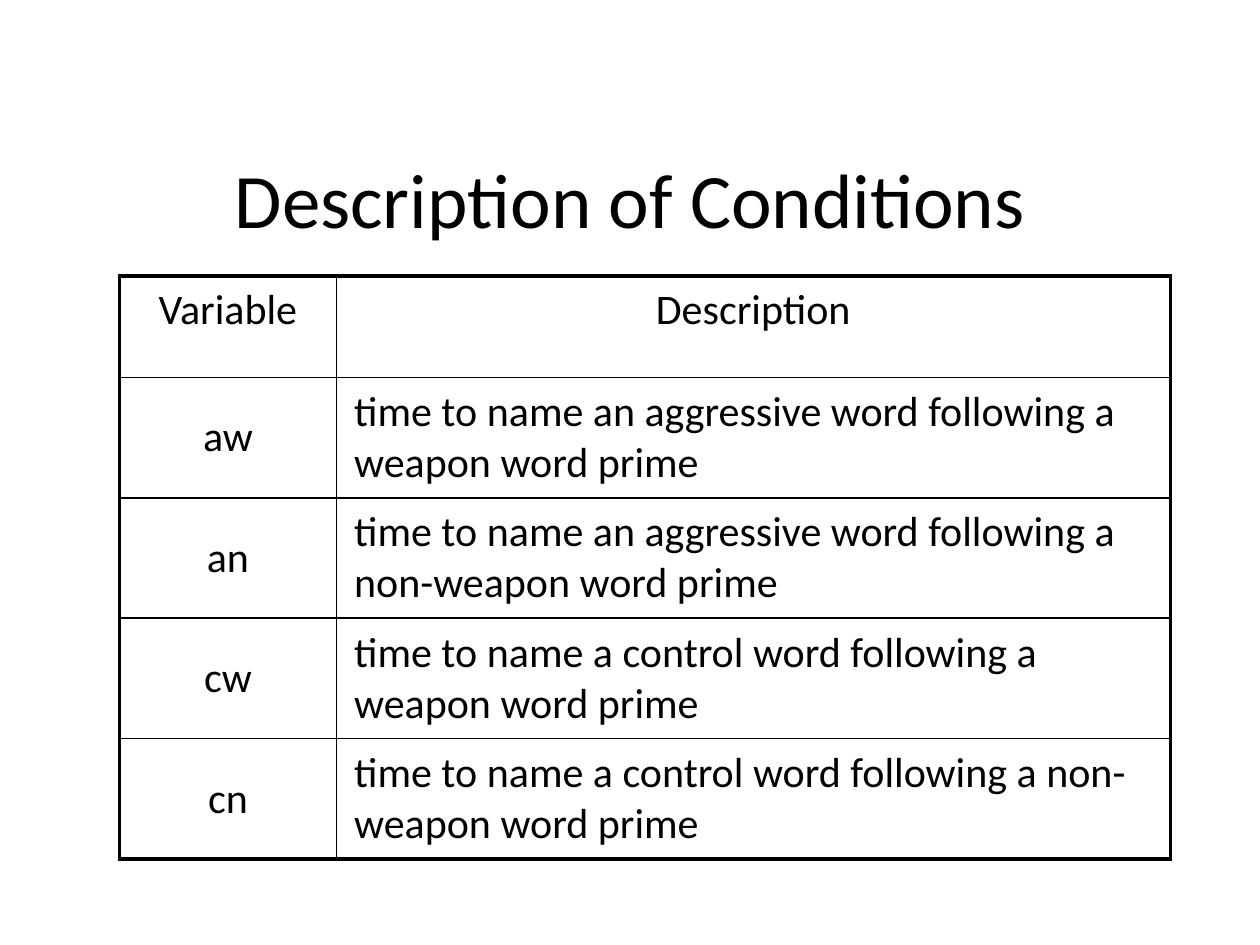
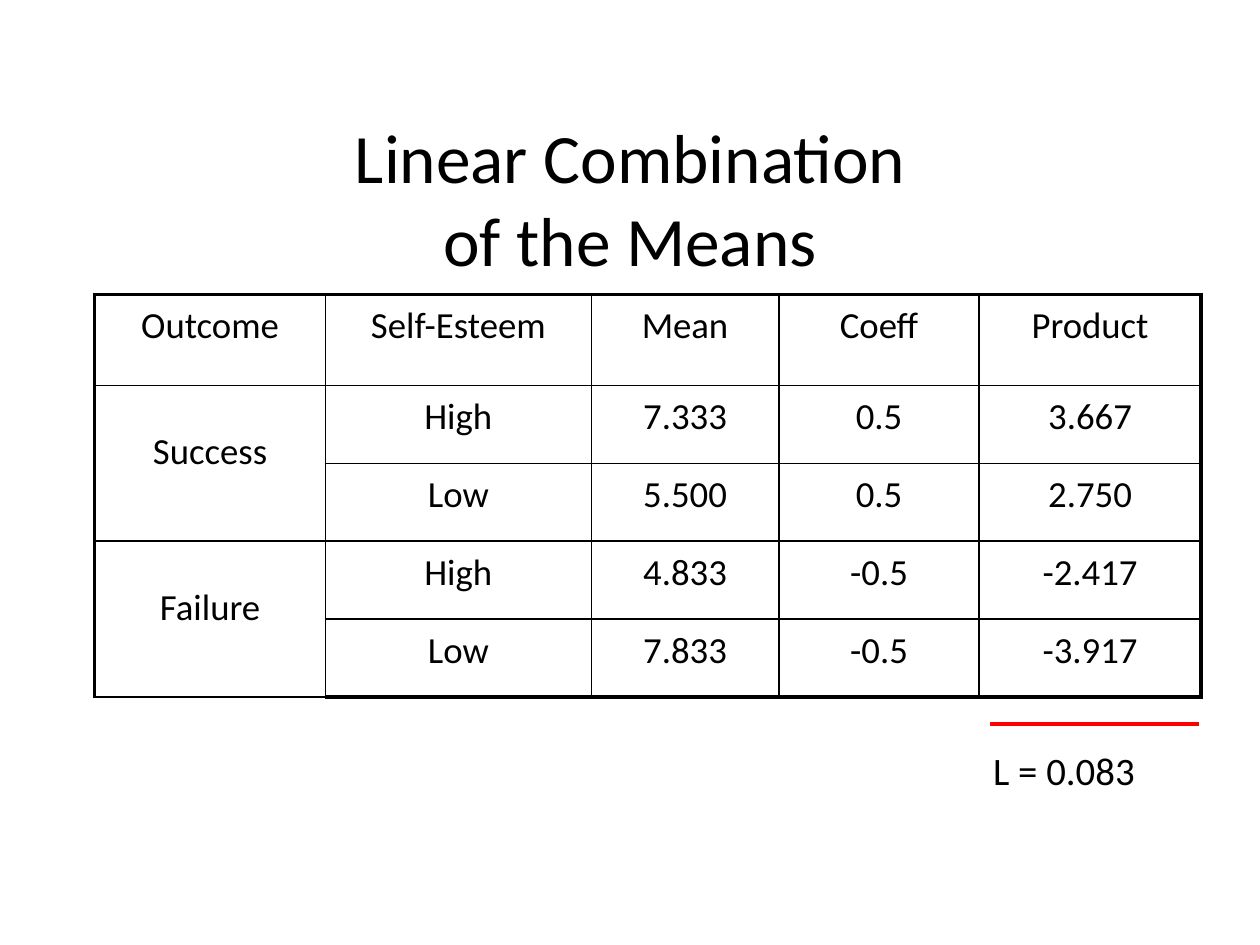
import lxml.etree
import pptx
import pptx.dml.color
import pptx.enum.shapes
import pptx.enum.text
import pptx.oxml.ns
import pptx.util

Cm = pptx.util.Cm
Pt = pptx.util.Pt
ALIGN = pptx.enum.text.PP_ALIGN
ANCHOR = pptx.enum.text.MSO_ANCHOR

FONT = "Calibri"
COLOURS = {"ink": "000000", "sum_line": "FF0000"}
TITLE_BOX = (1.91, 2.57, 21.59, 2.82)
INSET_SIDE, INSET_TOP = 0.36, 0.18
OUTER_BORDER, INNER_BORDER = 2.25, 1


def colour(name):
    return pptx.dml.color.RGBColor.from_string(COLOURS[name])


def write_text(frame, text, size, align=ALIGN.CENTER, anchor=ANCHOR.TOP):
    frame.word_wrap = True
    frame.vertical_anchor = anchor
    frame.text = text
    paragraph = frame.paragraphs[0]
    paragraph.alignment = align
    paragraph.font.name = FONT
    paragraph.font.size = Pt(size)
    paragraph.font.color.rgb = colour("ink")


def set_insets(holder, top=INSET_TOP):
    holder.margin_left = holder.margin_right = Cm(INSET_SIDE)
    holder.margin_top = Cm(top)
    holder.margin_bottom = Cm(INSET_TOP)


def add_titled_slide(presentation, title, size):
    slide = presentation.slides.add_slide(presentation.slide_layouts[5])
    shape = slide.shapes.title
    shape.left, shape.top, shape.width, shape.height = map(Cm, TITLE_BOX)
    shape.text_frame.auto_size = pptx.enum.text.MSO_AUTO_SIZE.NONE
    write_text(shape.text_frame, title, size, anchor=ANCHOR.MIDDLE)
    return slide


def draw_borders(cell, on_edge):
    """Heavy lines on the table's outside, thin ones within."""
    properties = cell._tc.get_or_add_tcPr()
    for side in ("L", "R", "T", "B"):
        width = OUTER_BORDER if on_edge[side] else INNER_BORDER
        line = lxml.etree.SubElement(
            properties, pptx.oxml.ns.qn("a:ln" + side), w=str(int(Pt(width))))
        fill = lxml.etree.SubElement(line, pptx.oxml.ns.qn("a:solidFill"))
        lxml.etree.SubElement(
            fill, pptx.oxml.ns.qn("a:srgbClr"), val=COLOURS["ink"])


def add_bordered_table(slide, left, top, widths, heights, rows, size):
    """Place a plain grid of centred text; None leaves a cell unwritten."""
    table = slide.shapes.add_table(
        len(heights), len(widths), Cm(left), Cm(top),
        Cm(sum(widths)), Cm(sum(heights))).table
    table.first_row = table.horz_banding = False
    for column, width in zip(table.columns, widths):
        column.width = Cm(width)
    for row, height in zip(table.rows, heights):
        row.height = Cm(height)
    for row_index, values in enumerate(rows):
        for column_index, value in enumerate(values):
            cell = table.cell(row_index, column_index)
            set_insets(cell)
            draw_borders(cell, {
                "L": column_index == 0, "R": column_index == len(widths) - 1,
                "T": row_index == 0, "B": row_index == len(heights) - 1})
            cell.fill.background()
            if value is not None:
                write_text(cell.text_frame, value, size)
    return table


def add_conditions_slide(presentation):
    slide = add_titled_slide(presentation, "Description of Conditions", 44)
    rows = [("Variable", "Description")]
    for variable, word, prime in (
            ("aw", "an aggressive", "weapon"),
            ("an", "an aggressive", "non-weapon"),
            ("cw", "a control", "weapon"),
            ("cn", "a control", "non-weapon")):
        rows.append((variable, f"time to name {word} word following a {prime} word prime"))
    table = add_bordered_table(
        slide, 2.41, 5.56, [4.37, 16.81], [2.05] + [2.36] * 4, rows, 24)
    for row_index in range(1, len(rows)):
        table.cell(row_index, 0).vertical_anchor = ANCHOR.MIDDLE
        description = table.cell(row_index, 1).text_frame
        description.paragraphs[0].alignment = ALIGN.LEFT


def add_sum(slide, left, top, width, text):
    """Red rule under the products, with their sum below it."""
    line = slide.shapes.add_connector(
        pptx.enum.shapes.MSO_CONNECTOR.STRAIGHT,
        Cm(left), Cm(top), Cm(left + width), Cm(top))
    line.line.color.rgb = colour("sum_line")
    line.line.width = Pt(2.25)
    lxml.etree.SubElement(
        line._element.spPr, pptx.oxml.ns.qn("a:effectLst"))

    box = slide.shapes.add_textbox(
        Cm(left - 0.3), Cm(top + 0.28), Cm(5.74), Cm(1.3))
    set_insets(box.text_frame)
    write_text(box.text_frame, text, 22.2, align=ALIGN.LEFT)


def add_means_slide(presentation):
    slide = add_titled_slide(presentation, "Linear Combination\vof the Means", 39.6)
    rows = [
        ("Outcome", "Self-Esteem", "Mean", "Coeff", "Product"),
        ("Success", "High", "7.333", "0.5", "3.667"),
        (None, "Low", "5.500", "0.5", "2.750"),
        ("Failure", "High", "4.833", "-0.5", "-2.417"),
        (None, "Low", "7.833", "-0.5", "-3.917"),
    ]
    table = add_bordered_table(
        slide, 1.91, 5.94, [4.65, 5.36, 3.78, 4.04, 4.47],
        [1.83] + [1.57] * 4, rows, 21)
    # Each outcome spans its two self-esteem rows
    for first_row in (1, 3):
        outcome = table.cell(first_row, 0)
        outcome.merge(table.cell(first_row + 1, 0))
        set_insets(outcome, top=0.89)
    add_sum(slide, 19.96, 14.6, 4.22, "L = 0.083")


def main():
    presentation = pptx.Presentation()
    presentation.slide_width = Cm(25.4)
    presentation.slide_height = Cm(19.05)
    add_conditions_slide(presentation)
    add_means_slide(presentation)
    presentation.save("out.pptx")


if __name__ == "__main__":
    main()
